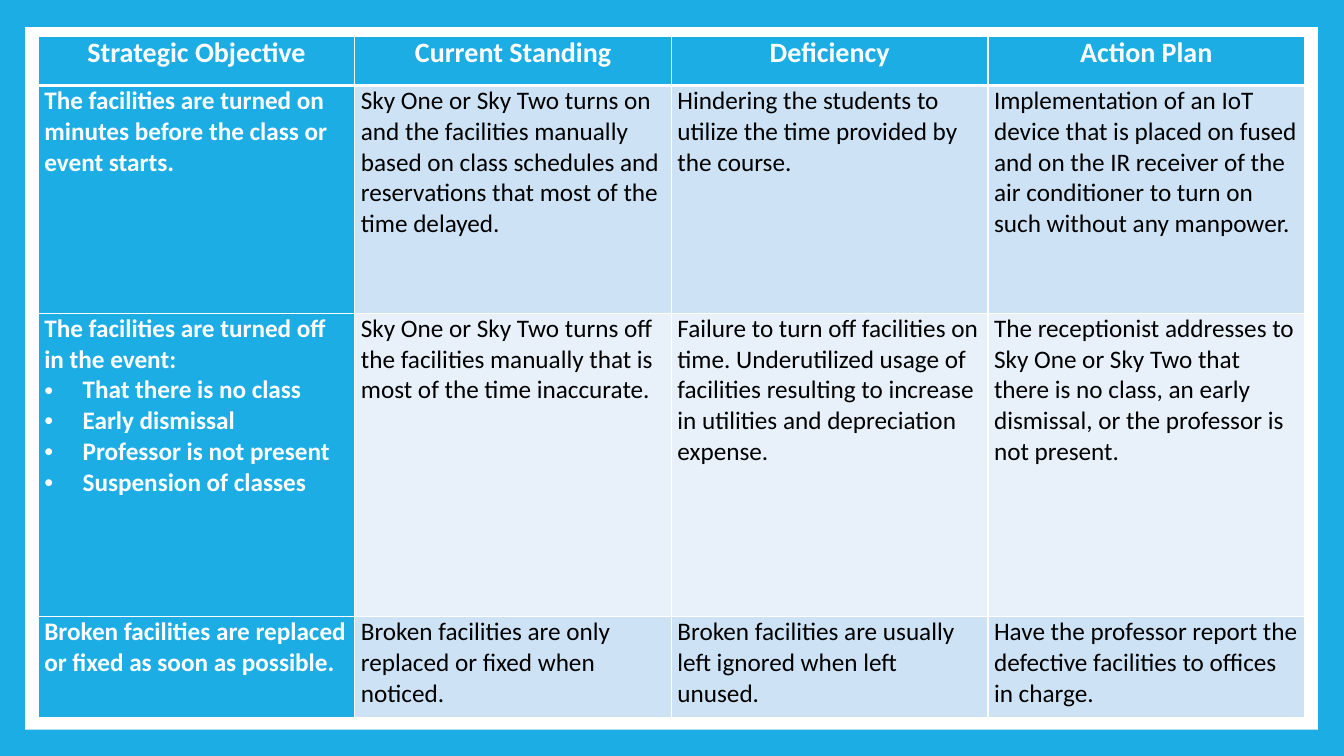
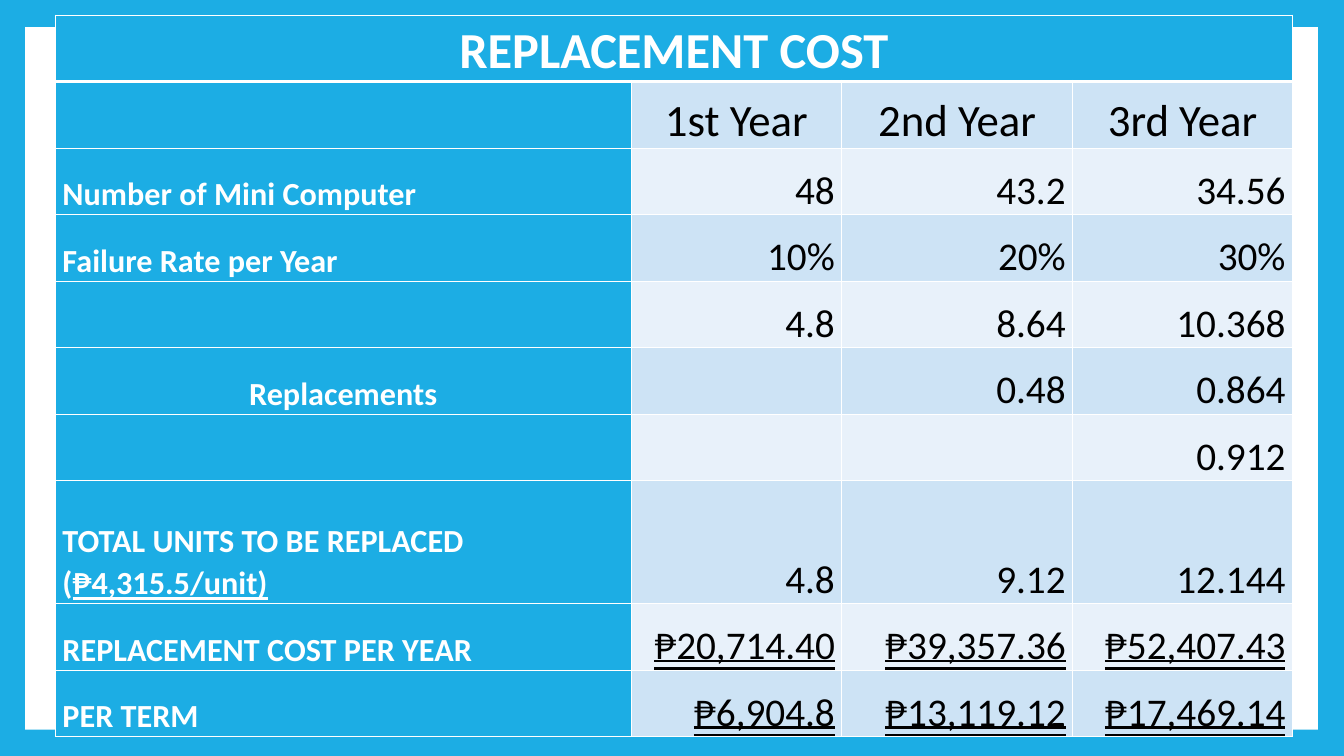
import pptx
import pptx.util
import pptx.dml.color
import pptx.enum.shapes
import pptx.enum.text
import pptx.oxml.ns
import lxml.etree

Inches = pptx.util.Inches
Pt = pptx.util.Pt
ALIGN = pptx.enum.text.PP_ALIGN
ANCHOR = pptx.enum.text.MSO_ANCHOR
UNDERLINE = pptx.enum.text.MSO_UNDERLINE

FONT = "Calibri"
COLORS = {
    "accent": "1CADE4",
    "band_dark": "CDE3F5",
    "band_light": "E8F1FA",
    "white": "FFFFFF",
    "black": "000000",
}

OBJECTIVE_ROWS = [
    ["Strategic Objective", "Current Standing", "Deficiency", "Action Plan"],
    [
        "The facilities are turned on minutes before the class or event starts.",
        "Sky One or Sky Two turns on and the facilities manually based on class schedules "
        "and reservations that most of the time delayed.",
        "Hindering the students to utilize the time provided by the course.",
        "Implementation of an IoT device that is placed on fused and on the IR receiver of "
        "the air conditioner to turn on such without any manpower.",
    ],
    [
        "The facilities are turned off in the event:",
        "Sky One or Sky Two turns off the facilities manually that is most of the time inaccurate.",
        "Failure to turn off facilities on time. Underutilized usage of facilities resulting "
        "to increase in utilities and depreciation expense.",
        "The receptionist addresses to Sky One or Sky Two that there is no class, an early "
        "dismissal, or the professor is not present.",
    ],
    [
        "Broken facilities are replaced or fixed as soon as possible.",
        "Broken facilities are only replaced or fixed when noticed.",
        "Broken facilities are usually left ignored when left unused.",
        "Have the professor report the defective facilities to offices in charge.",
    ],
]
TURN_OFF_EVENTS = [
    "That there is no class",
    "Early dismissal",
    "Professor is not present",
    "Suspension of classes",
]

COST_ROWS = [
    ["REPLACEMENT COST", "", "", ""],
    ["", "1st Year", "2nd Year", "3rd Year"],
    ["Number of Mini Computer", "48", "43.2", "34.56"],
    ["Failure Rate per Year", "10%", "20%", "30%"],
    ["", "4.8", "8.64", "10.368"],
    ["Replacements", "", "0.48", "0.864"],
    ["", "", "", "0.912"],
    ["TOTAL UNITS TO BE REPLACED (", "4.8", "9.12", "12.144"],
    ["REPLACEMENT COST PER YEAR", "₱20,714.40", "₱39,357.36", "₱52,407.43"],
    ["PER TERM", "₱6,904.8", "₱13,119.12", "₱17,469.14"],
]
UNIT_PRICE = "₱4,315.5/unit)"


def rgb(name):
    return pptx.dml.color.RGBColor.from_string(COLORS[name])


def add_element(parent, tag, **attributes):
    return lxml.etree.SubElement(parent, pptx.oxml.ns.qn(tag), attributes)


def add_framed_slide(presentation):
    """Blank slide with the white panel inside the coloured frame."""
    slide = presentation.slides.add_slide(presentation.slide_layouts[6])
    panel = slide.shapes.add_shape(
        pptx.enum.shapes.MSO_SHAPE.RECTANGLE,
        Inches(0.25), Inches(0.27), Inches(12.82), Inches(6.97))
    panel.shadow.inherit = False
    panel.fill.solid()
    panel.fill.fore_color.rgb = rgb("white")
    panel.line.fill.background()
    return slide


def set_borders(cell, row_index):
    """White rules, with a heavy one under the header row."""
    widths = {
        "a:lnL": 1,
        "a:lnR": 1,
        "a:lnT": 3 if row_index == 1 else 1,
        "a:lnB": 3 if row_index == 0 else 1,
    }
    properties = cell._tc.get_or_add_tcPr()
    for tag, width in widths.items():
        line = add_element(properties, tag, w=str(Pt(width)))
        fill = add_element(line, "a:solidFill")
        add_element(fill, "a:srgbClr", val=COLORS["white"])


def add_grid(slide, left, top, widths, heights, margin, anchor):
    """Table with accent header row and first column, and banded body rows."""
    table = slide.shapes.add_table(
        len(heights), len(widths), Inches(left), Inches(top),
        Inches(sum(widths)), Inches(sum(heights))).table
    table.first_row = table.horz_banding = False
    for column, width in zip(table.columns, widths):
        column.width = Inches(width)
    for row_index, height in enumerate(heights):
        table.rows[row_index].height = Inches(height)
        for column_index in range(len(widths)):
            cell = table.cell(row_index, column_index)
            cell.margin_left = cell.margin_right = Inches(margin)
            cell.margin_top = cell.margin_bottom = 0
            cell.vertical_anchor = anchor
            set_borders(cell, row_index)
            band = "band_dark" if row_index % 2 else "band_light"
            is_heading = row_index == 0 or column_index == 0
            cell.fill.solid()
            cell.fill.fore_color.rgb = rgb("accent" if is_heading else band)
    return table


def write(paragraph, text, size, heading, alignment=ALIGN.LEFT):
    paragraph.add_run().text = text
    paragraph.alignment = alignment
    font = paragraph.font
    font.name = FONT
    font.size = Pt(size)
    font.bold = heading
    font.color.rgb = rgb("white" if heading else "black")


def make_bullet(paragraph):
    properties = paragraph._p.get_or_add_pPr()
    properties.set("marL", str(Inches(0.38)))
    properties.set("indent", str(-Inches(0.38)))
    add_element(properties, "a:buFont", typeface="Arial")
    add_element(properties, "a:buChar", char="•")
    tabs = add_element(properties, "a:tabLst")
    add_element(tabs, "a:tab", pos=str(Inches(0.5)), algn="l")


def build_objectives(slide, left, top):
    table = add_grid(slide, left, top, [3.14] * 4, [0.49, 2.26, 3.01, 1],
                     0.06, ANCHOR.TOP)
    for row_index, row in enumerate(OBJECTIVE_ROWS):
        header = row_index == 0
        for column_index, text in enumerate(row):
            paragraph = table.cell(row_index, column_index).text_frame.paragraphs[0]
            write(paragraph, text, 20 if header else 18, header or column_index == 0,
                  ALIGN.CENTER if header else ALIGN.LEFT)

    # Events listed under the turn-off objective
    for event in TURN_OFF_EVENTS:
        paragraph = table.cell(2, 0).text_frame.add_paragraph()
        make_bullet(paragraph)
        write(paragraph, event, 18, True)


def cost_style(row_index, column_index, text):
    """Size and alignment of a cell in the cost table."""
    if row_index == 0:
        return 36, ALIGN.CENTER
    if row_index == 1:
        return 32, ALIGN.CENTER
    if column_index == 0:
        return 23, ALIGN.CENTER if text == "Replacements" else ALIGN.LEFT
    return 28, ALIGN.RIGHT


def build_costs(slide, left, top):
    heights = [0.66] * 7 + [1.22] + [0.66] * 2
    table = add_grid(slide, left, top, [5.71, 2.09, 2.29, 2.18], heights,
                     0.07, ANCHOR.BOTTOM)
    table.cell(0, 0).merge(table.cell(0, 3))
    for row_index, row in enumerate(COST_ROWS):
        for column_index, text in enumerate(row):
            if not text:
                continue
            paragraph = table.cell(row_index, column_index).text_frame.paragraphs[0]
            paragraph.line_spacing = 1.07
            size, alignment = cost_style(row_index, column_index, text)
            write(paragraph, text, size, row_index == 0 or column_index == 0, alignment)
            if text.startswith("₱"):
                paragraph.font.underline = UNDERLINE.DOUBLE_LINE

    # Underlined unit price after the total label
    price = table.cell(7, 0).text_frame.paragraphs[0].add_run()
    price.text = UNIT_PRICE
    price.font.underline = True


def main():
    presentation = pptx.Presentation()
    presentation.slide_width = Inches(13.33)
    presentation.slide_height = Inches(7.5)
    background = presentation.slide_master.background.fill
    background.solid()
    background.fore_color.rgb = rgb("accent")

    build_objectives(add_framed_slide(presentation), 0.38, 0.36)
    build_costs(add_framed_slide(presentation), 0.55, 0.15)
    presentation.save("out.pptx")


if __name__ == "__main__":
    main()
